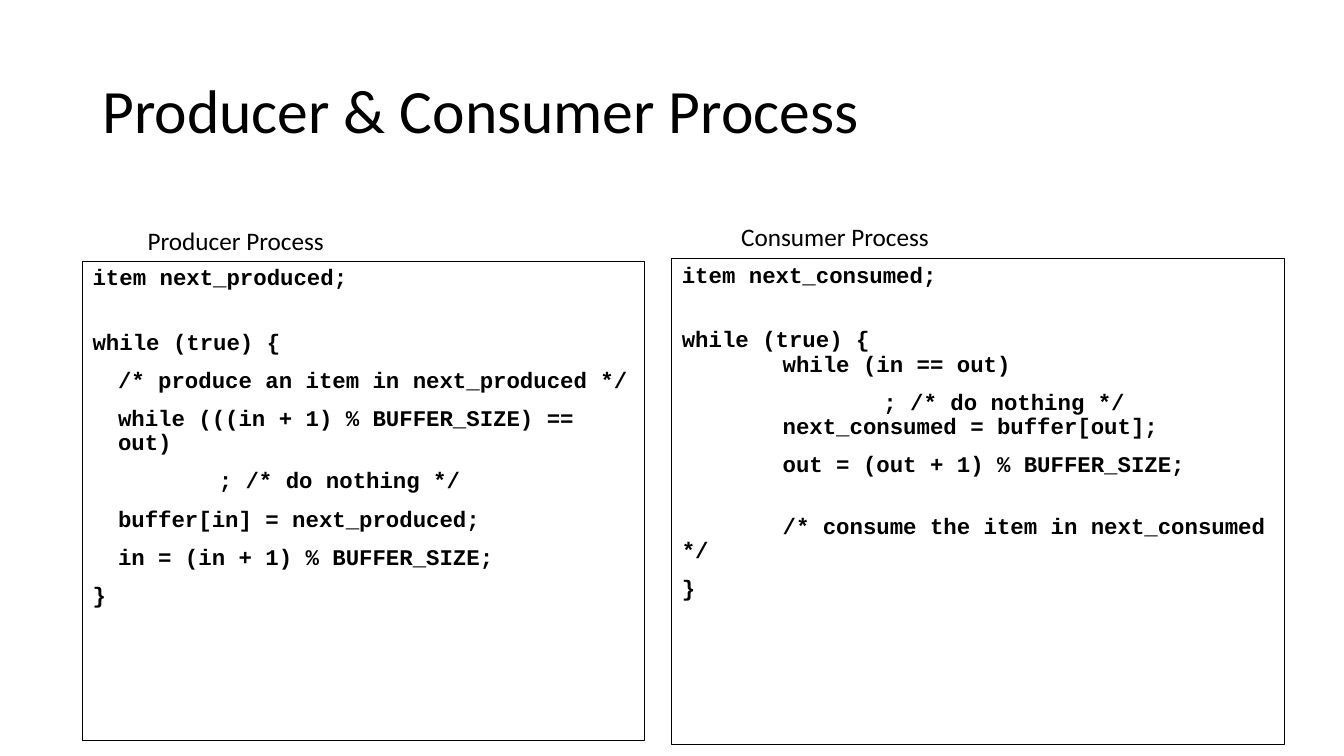
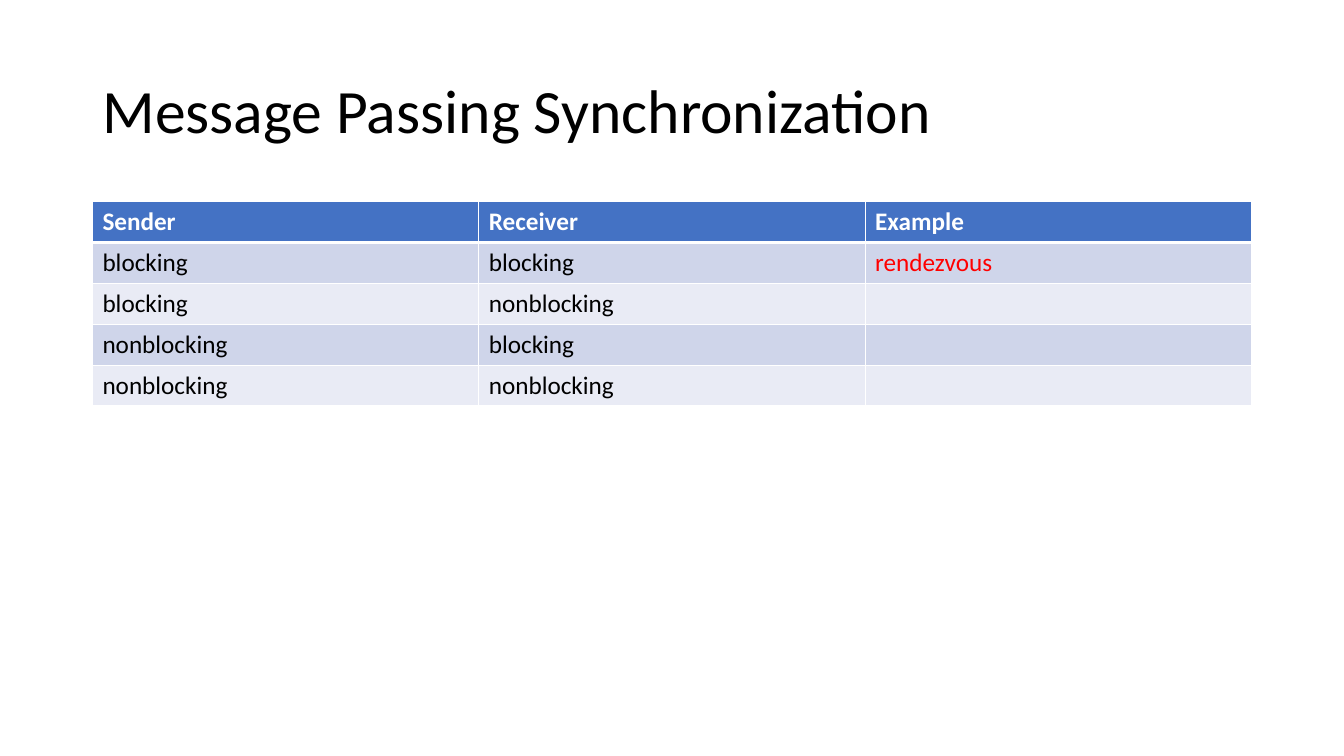
from dataclasses import dataclass

from lxml import etree
from pptx import Presentation
from pptx.dml.color import RGBColor
from pptx.enum.text import MSO_ANCHOR, MSO_AUTO_SIZE, PP_ALIGN
from pptx.oxml.ns import qn
from pptx.util import Cm, Pt

LEFT = PP_ALIGN.LEFT
TOP, MIDDLE = MSO_ANCHOR.TOP, MSO_ANCHOR.MIDDLE
NO_FIT = MSO_AUTO_SIZE.NONE
TWO_CONTENT, TITLE_ONLY = 3, 5


@dataclass(frozen=True)
class Theme:
    sans: str = "Calibri"
    mono: str = "Courier New"
    black: str = "000000"
    white: str = "FFFFFF"
    accent: str = "4472C4"
    bands: tuple[str, str] = ("CFD5EA", "E9EBF5")
    highlight: str = "FF0000"
    title: float = 44
    text: float = 18
    code: float = 16


@dataclass(frozen=True)
class Box:
    x: float
    y: float
    w: float
    h: float

    def place(self, sp) -> None:
        sp.left, sp.top, sp.width, sp.height = map(Cm, (self.x, self.y, self.w, self.h))


@dataclass(frozen=True)
class Line:
    text: str
    indent: float = 0
    before: float = 10
    hang: float = 0


@dataclass(frozen=True)
class Panel:
    label: str
    label_box: Box
    box: Box
    lines: tuple[Line, ...]


THEME = Theme()
TITLE_BOX = Box(2.33, 1.01, 29.21, 3.68)
TABLE_BOX = Box(2.33, 5.08, 29.21, 5.15)
STEP = 0.64
TAB = 2.54

PANELS = (
    Panel("Producer Process", Box(3.47, 5.56, 5, 1.03), Box(2.08, 6.58, 14.17, 12.09), (
        Line("item next_produced;", before=0),
        Line("while (true) {", before=29),
        Line("/* produce an item in next_produced */", STEP),
        Line("while (((in + 1) % BUFFER_SIZE) == out)", STEP),
        Line("; /* do nothing */", STEP + TAB),
        Line("buffer[in] = next_produced;", STEP),
        Line("in = (in + 1) % BUFFER_SIZE;", STEP),
        Line("}"),
    )),
    Panel("Consumer Process", Box(18.43, 5.45, 5.28, 1.03), Box(16.93, 6.52, 15.43, 12.25), (
        Line("item next_consumed;", before=0),
        Line("while (true) {", before=29),
        Line("while (in == out)", TAB, before=0),
        Line("; /* do nothing */", 2 * TAB),
        Line("next_consumed = buffer[out];", TAB, before=0),
        Line("out = (out + 1) % BUFFER_SIZE;", TAB),
        Line("/* consume the item in next_consumed */", before=27, hang=TAB),
        Line("}"),
    )),
)

ROWS = (
    ("Sender", "Receiver", "Example"),
    ("blocking", "blocking", "rendezvous"),
    ("blocking", "nonblocking", ""),
    ("nonblocking", "blocking", ""),
    ("nonblocking", "nonblocking", ""),
)


def write(p, text: str, *, size: float = THEME.text, font: str = THEME.sans,
          color: str = THEME.black, bold: bool = False, spacing: float = 1) -> None:
    p.alignment = LEFT
    p.line_spacing = spacing
    r = p.add_run()
    r.text = text
    r.font.size = Pt(size)
    r.font.name = font
    r.font.bold = bold
    r.font.color.rgb = RGBColor.from_string(color)


def add_slide(prs, layout: int, title: str):
    s = prs.slides.add_slide(prs.slide_layouts[layout])
    sp = s.shapes.title
    TITLE_BOX.place(sp)
    tf = sp.text_frame
    tf.auto_size = NO_FIT
    tf.vertical_anchor = MIDDLE
    write(tf.paragraphs[0], title, size=THEME.title, spacing=0.9)
    return s


def add_panel(s, sp, panel: Panel) -> None:
    panel.box.place(sp)
    sp.line.color.rgb = RGBColor.from_string(THEME.black)
    sp.line.width = Pt(0.75)
    tf = sp.text_frame
    tf.auto_size = NO_FIT
    tf.vertical_anchor = TOP
    tf.word_wrap = True
    for i, line in enumerate(panel.lines):
        p = tf.add_paragraph() if i else tf.paragraphs[0]
        pPr = p._p.get_or_add_pPr()
        pPr.set("marL", str(Cm(line.indent)))
        pPr.set("indent", str(Cm(line.hang)))
        etree.SubElement(pPr, qn("a:buNone"))
        p.space_before = Pt(line.before)
        write(p, line.text, size=THEME.code, font=THEME.mono, bold=True, spacing=0.9)

    label = s.shapes.add_textbox(0, 0, 0, 0)
    panel.label_box.place(label)
    label.text_frame.word_wrap = False
    write(label.text_frame.paragraphs[0], panel.label)


def set_borders(cell, widths: dict[str, float]) -> None:
    tcPr = cell._tc.get_or_add_tcPr()
    for i, (side, width) in enumerate(widths.items()):
        ln = etree.Element(qn(f"a:ln{side}"), w=str(Pt(width)))
        fill = etree.SubElement(ln, qn("a:solidFill"))
        etree.SubElement(fill, qn("a:srgbClr"), val=THEME.white)
        tcPr.insert(i, ln)


def add_grid(s, box: Box, rows: tuple[tuple[str, ...], ...]) -> None:
    frame = s.shapes.add_table(len(rows), len(rows[0]), 0, 0, Cm(box.w), Cm(box.h))
    box.place(frame)
    for i, row in enumerate(rows):
        header = i == 0
        for j, text in enumerate(row):
            cell = frame.table.cell(i, j)
            cell.fill.solid()
            fill = THEME.accent if header else THEME.bands[(i - 1) % 2]
            cell.fill.fore_color.rgb = RGBColor.from_string(fill)
            set_borders(cell, {"L": 1, "R": 1, "T": 3 if i == 1 else 1, "B": 3 if header else 1})
            if text:
                color = THEME.white if header else THEME.black
                if text == "rendezvous":
                    color = THEME.highlight
                write(cell.text_frame.paragraphs[0], text, color=color, bold=header)


def main() -> None:
    prs = Presentation()
    prs.slide_width, prs.slide_height = Cm(33.87), Cm(19.05)

    s = add_slide(prs, TWO_CONTENT, "Producer & Consumer Process")
    bodies = list(s.placeholders)[1:]
    for sp, panel in zip(bodies, PANELS):
        add_panel(s, sp, panel)

    s = add_slide(prs, TITLE_ONLY, "Message Passing Synchronization")
    add_grid(s, TABLE_BOX, ROWS)

    prs.save("out.pptx")


if __name__ == "__main__":
    main()
